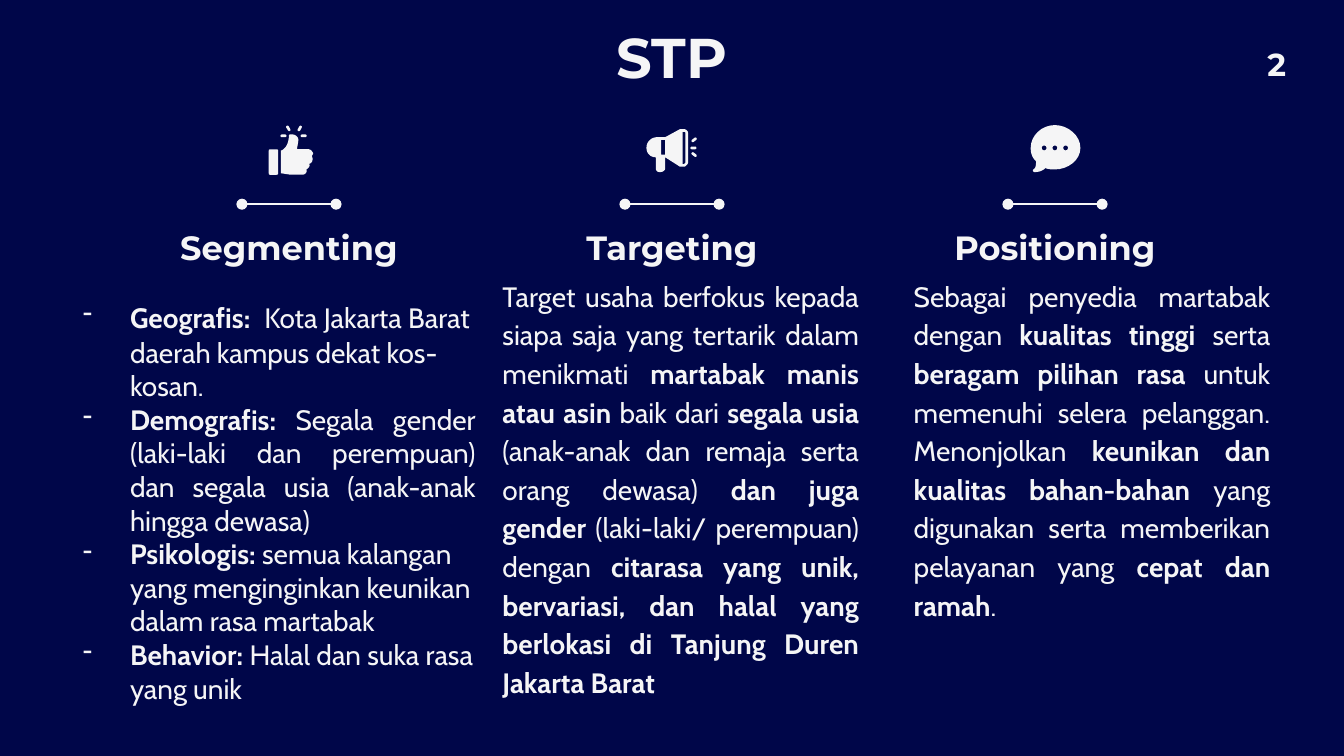
from math import cos, pi, sin

from lxml.etree import SubElement
from pptx import Presentation
from pptx.dml.color import RGBColor
from pptx.enum.shapes import MSO_CONNECTOR, MSO_SHAPE
from pptx.enum.text import MSO_ANCHOR, MSO_AUTO_SIZE, PP_ALIGN
from pptx.oxml.ns import qn
from pptx.util import Pt

NAVY, WHITE = "000649", "F5F5F6"
GRID = 0.72  # points per step of the icon drawings
INSET = Pt(7.2)


def colour(value):
    return RGBColor.from_string(value)


def format_run(span, font, size, bold):
    span.font.name = font
    span.font.size = Pt(size)
    span.font.bold = bold
    span.font.color.rgb = colour(WHITE)


def prepare_frame(frame, anchor=MSO_ANCHOR.TOP):
    frame.word_wrap = True
    frame.auto_size = MSO_AUTO_SIZE.NONE
    frame.vertical_anchor = anchor
    frame.margin_left = frame.margin_right = INSET
    frame.margin_top = frame.margin_bottom = INSET


def fill_heading(shape, text, size, anchor=MSO_ANCHOR.TOP):
    prepare_frame(shape.text_frame, anchor)
    shape.text_frame.text = text
    para = shape.text_frame.paragraphs[0]
    para.alignment = PP_ALIGN.CENTER
    format_run(para.runs[0], "Montserrat", size, True)


def add_box(page, box):
    return page.shapes.add_textbox(*[Pt(length) for length in box])


def add_title(page, box, text):
    title = page.shapes.title
    title.left, title.top, title.width, title.height = [Pt(n) for n in box]
    fill_heading(title, text, 30)


def add_dash(para):
    properties = para._p.get_or_add_pPr()
    properties.set("marL", str(Pt(36)))
    properties.set("indent", str(-Pt(25.2)))
    tint = SubElement(properties, qn("a:buClr"))
    SubElement(tint, qn("a:srgbClr"), val=WHITE)
    SubElement(properties, qn("a:buChar"), char="-")


def add_body(page, box, texts, dashed=False, spacing=None):
    """Fill a box with paragraphs of (alignment, text); * switches bold on and off."""
    frame = add_box(page, box).text_frame
    prepare_frame(frame)
    for index, (alignment, text) in enumerate(texts):
        para = frame.add_paragraph() if index else frame.paragraphs[0]
        if dashed:
            add_dash(para)
        para.alignment = alignment
        para.line_spacing = spacing
        for position, part in enumerate(text.split("*")):
            if part:
                span = para.add_run()
                span.text = part
                format_run(span, "Cabin", 15, position % 2 == 1)
    return frame


def add_divider(page, center, top):
    line = page.shapes.add_connector(
        MSO_CONNECTOR.STRAIGHT, Pt(center - 25.2), Pt(top), Pt(center + 25.2), Pt(top))
    line.line.color.rgb = colour(WHITE)
    line.line.width = Pt(0.75)
    outline = line.line._get_or_add_ln()
    for end in ("a:headEnd", "a:tailEnd"):
        SubElement(outline, qn(end), type="oval")
    SubElement(line._element.spPr, qn("a:effectLst"))


def paint(shape):
    shape.shadow.inherit = False
    shape.fill.solid()
    shape.fill.fore_color.rgb = colour(WHITE)
    shape.line.fill.background()


def flatten(contour, steps=8):
    """Turn points (x, y) and cubic curves (x1, y1, x2, y2, x, y) into points."""
    points = []
    for item in contour:
        if len(item) == 2:
            points.append(item)
            continue
        curve = [points[-1], item[:2], item[2:4], item[4:]]
        for step in range(1, steps + 1):
            t = step / steps
            weights = ((1 - t) ** 3, 3 * t * (1 - t) ** 2, 3 * t * t * (1 - t), t ** 3)
            points.append(tuple(
                sum(w * p[axis] for w, p in zip(weights, curve)) for axis in (0, 1)))
    return points


def add_outline(shapes, left, top, contours):
    """Draw one shape; every contour after the first cuts a hole."""
    builder = None
    for contour in contours:
        points = [(Pt(left + x * GRID), Pt(top + y * GRID)) for x, y in flatten(contour)]
        if builder is None:
            builder = shapes.build_freeform(*points[0])
        else:
            builder.move_to(*points[0])
        builder.add_line_segments(points[1:], close=True)
    paint(builder.convert_to_shape())


def add_rays(shapes, left, top, rays):
    length, thickness = 4.5 * GRID, 2 * GRID
    for x, y, angle in rays:
        ray = shapes.add_shape(
            MSO_SHAPE.ROUNDED_RECTANGLE,
            Pt(left + x * GRID - length / 2), Pt(top + y * GRID - thickness / 2),
            Pt(length), Pt(thickness))
        ray.adjustments[0] = 0.5
        ray.rotation = angle
        paint(ray)


def draw_thumb(page, left, top):
    shapes = page.shapes.add_group_shape().shapes
    cuff = [(1, 18), (1, 18, 0, 18, 0, 19), (0, 36), (0, 37, 1, 37, 1, 37),
            (5, 37), (6, 37, 7, 37, 7, 36), (7, 19), (7, 18, 6, 18, 5, 18)]
    hand = [(16, 7), (16, 7, 15, 7, 15, 8), (15, 11, 14, 15, 12, 17),
            (11, 18, 10, 19, 9, 19), (9, 36), (11, 36, 14, 37, 18, 37), (25, 37),
            (27, 37, 29, 35, 28, 33), (30, 32, 31, 30, 30, 29),
            (33, 28, 33, 25, 32, 23), (32, 23, 33, 22, 33, 21),
            (32, 19, 31, 18, 29, 18), (21, 18), (21, 17, 22, 13, 22, 11),
            (22, 9, 20, 7, 17, 7)]
    add_rays(shapes, left, top, [(11, 8, 0), (14.5, 2.5, 60), (23, 2.5, -60), (26, 8, 0)])
    for part in (cuff, hand):
        add_outline(shapes, left, top, [part])


def draw_megaphone(page, left, top):
    shapes = page.shapes.add_group_shape().shapes
    horn = [(25, 3), (14, 9), (8, 9), (4, 9, 0, 12, 0, 17), (0, 21, 3, 24, 7, 24),
            (7, 32), (7, 34, 8, 35, 10, 35), (12, 35, 14, 34, 14, 32), (14, 24),
            (25, 31), (28, 31), (29, 31, 31, 29, 31, 28), (31, 6), (31, 4, 29, 3, 28, 3)]
    band = [(14, 11), (14, 22), (11, 22), (11, 11)]
    rim = [(28, 5), (28, 5, 29, 5, 29, 6), (29, 28), (29, 28, 28, 29, 28, 29),
           (27, 29), (27, 5)]
    add_rays(shapes, left, top, [(35.5, 11, -38), (35, 17, 0), (35.5, 22, 38)])
    add_outline(shapes, left, top, [horn, band, rim])


def draw_bubble(page, left, top):
    bubble = [(18, 0), (8, 0, 0, 8, 0, 17), (0, 21, 1, 24, 4, 27), (4, 29, 4, 32, 2, 33),
              (1, 34, 2, 35, 3, 35), (6, 35, 9, 34, 11, 32), (13, 33, 16, 33, 18, 33),
              (28, 33, 37, 26, 37, 17), (37, 8, 28, 0, 18, 0)]
    dots = [[(x + 1.8 * cos(n * pi / 8), 17 - 1.8 * sin(n * pi / 8)) for n in range(16)]
            for x in (10, 18, 26)]
    add_outline(page.shapes, left, top, [bubble, *dots])


def add_column_head(page, box, text, draw_icon, icon_shift):
    left, top, width, height = box
    center = left + width / 2
    draw_icon(page, center + icon_shift, top)
    add_divider(page, center, top + 42.4)
    fill_heading(add_box(page, (left, top + 44.6, width, height - 44.6)),
                 text, 18, MSO_ANCHOR.BOTTOM)


def build_stp(page):
    page.background.fill.solid()
    page.background.fill.fore_color.rgb = colour(NAVY)
    add_title(page, (56.7, 5, 606.6, 45.4), "STP")
    fill_heading(add_box(page, (668.2, 16.6, 31.7, 35.3)), "2", 17)

    heads = [("Segmenting", draw_thumb, -10.8), ("Targeting", draw_megaphone, -13.7),
             ("Positioning", draw_bubble, -13)]
    for index, head in enumerate(heads):
        add_column_head(page, (56.9 + index * 205.2, 67, 195.8, 83.5), *head)

    segments = add_body(page, (26.6, 151.9, 235.4, 234.7), [
        (PP_ALIGN.LEFT, "*Geografis: ** *Kota Jakarta Barat daerah kampus dekat kos-kosan."),
        (PP_ALIGN.JUSTIFY, "*Demografis: *Segala gender (laki-laki dan perempuan) dan segala "
                           "usia (anak-anak hingga dewasa)"),
        (PP_ALIGN.LEFT, "*Psikologis: *semua kalangan yang menginginkan keunikan dalam "
                        "rasa martabak"),
        (PP_ALIGN.LEFT, "*Behavior:* Halal dan suka rasa yang unik"),
    ], dashed=True)
    format_run(segments.paragraphs[0].runs[1], "Lato", 17, True)
    add_body(page, (262.1, 139.7, 205.2, 252.7), [(
        PP_ALIGN.JUSTIFY,
        "Target usaha berfokus kepada siapa saja yang tertarik dalam menikmati *martabak "
        "manis atau asin* baik dari *segala usia *(anak-anak dan remaja serta orang dewasa)"
        "* dan juga gender* (laki-laki/ perempuan) dengan *citarasa yang unik, bervariasi, "
        "dan halal yang berlokasi di Tanjung Duren Jakarta Barat*")], spacing=1.15)
    add_body(page, (482.4, 139.7, 205.2, 228.2), [(
        PP_ALIGN.JUSTIFY,
        "Sebagai penyedia martabak dengan *kualitas tinggi* serta *beragam pilihan rasa* "
        "untuk memenuhi selera pelanggan. Menonjolkan *keunikan dan kualitas bahan-bahan* "
        "yang digunakan serta memberikan pelayanan yang *cepat dan ramah*.")], spacing=1.15)


def main():
    deck = Presentation()
    deck.slide_width, deck.slide_height = Pt(720), Pt(405)
    build_stp(deck.slides.add_slide(deck.slide_layouts[5]))
    deck.save("out.pptx")


if __name__ == "__main__":
    main()
